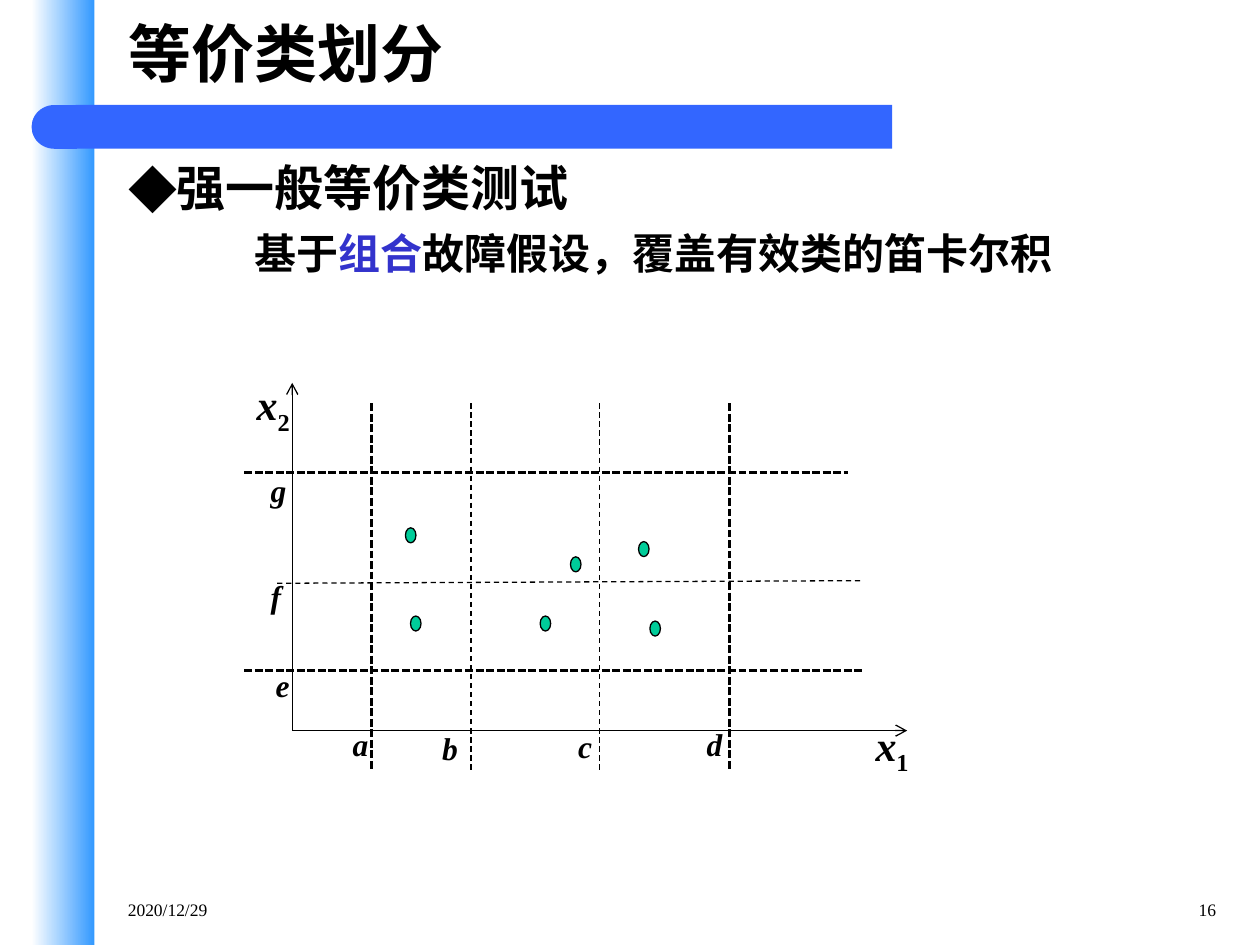
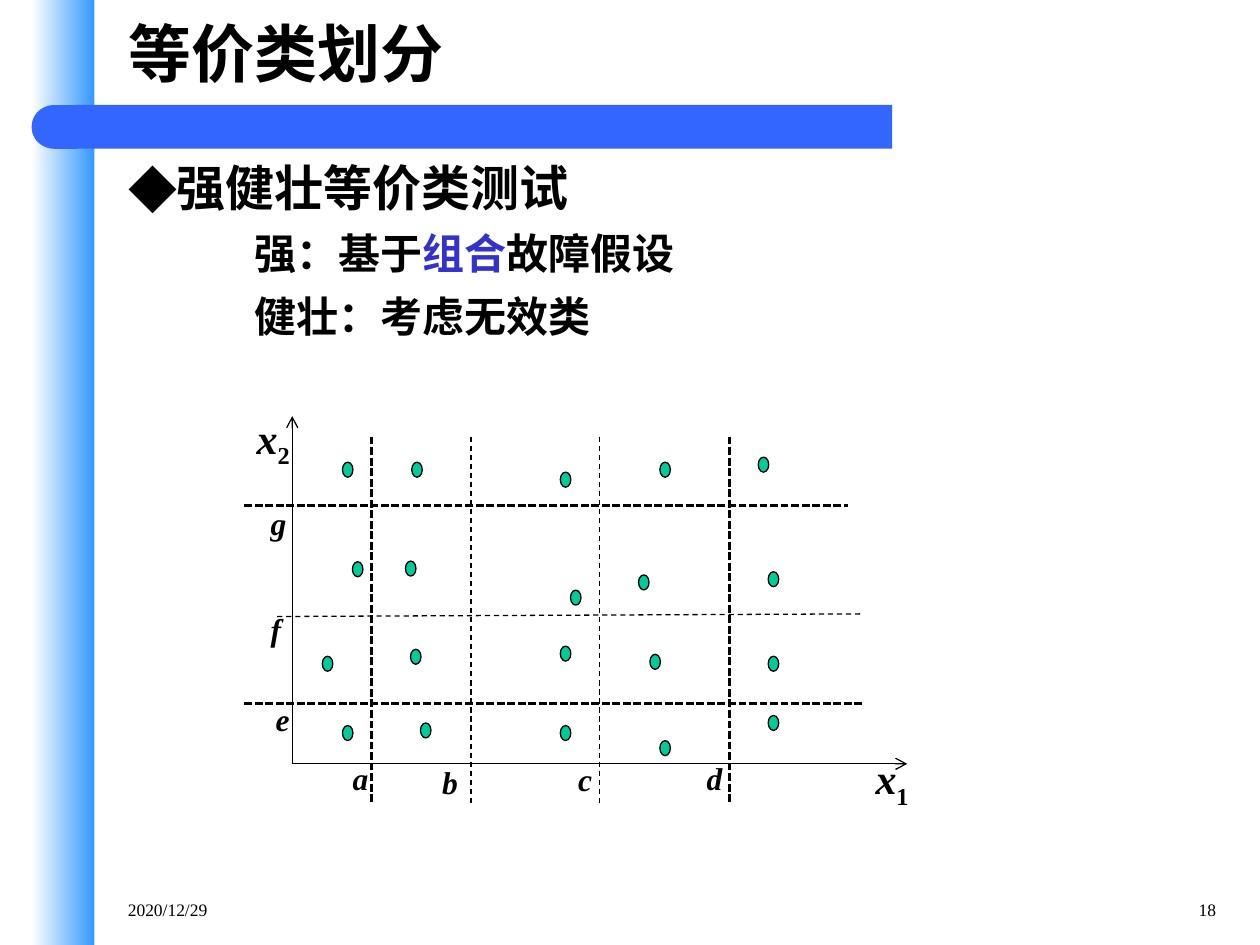
"""Build two slides on strong equivalence class testing."""
from lxml.etree import SubElement
from pptx import Presentation
from pptx.dml.color import RGBColor
from pptx.enum.dml import MSO_LINE
from pptx.enum.shapes import MSO_CONNECTOR, MSO_SHAPE
from pptx.enum.text import MSO_ANCHOR, MSO_AUTO_SIZE, PP_ALIGN
from pptx.oxml.ns import qn
from pptx.util import Pt

COLORS = {"text": "000000", "accent": "3333CC", "band": "3366FF",
          "fade_start": "FFFFFF", "fade_end": "3399FF", "dot": "00CC99"}
LATIN, CHINESE = "Times New Roman", "Noto Sans CJK SC"
TITLE, DATE = "等价类划分", "2020/12/29"

SHARED_DOTS = [(162, 95), (207.4, 58.3), (70.6, 61.2), (200.9, 103.7), (67.7, 111.6)]
SLIDES = [
    {"number": "16", "heading": "强一般等价类测试", "axis_y": 417.5,
     "details": [("基于", "组合", "故障假设，覆盖有效类的笛卡尔积")],
     "dots": [(144.7, 61.2)]},
    {"number": "18", "heading": "强健壮等价类测试", "axis_y": 436.5,
     "details": [("强：基于", "组合", "故障假设"), ("健壮：考虑无效类",)],
     "dots": [(156.2, 63), (275, 105.5), (275, 57.2), (213.1, 168.1), (156.2, 162.4),
              (213.1, 9), (156.2, 17.6), (71.3, 168.1), (37.4, 111.2), (275, 23.4),
              (269.3, 171), (31.7, 168.1), (20.2, 57.2), (31.7, 17.6), (76.3, 19.1)]},
]

ORIGIN_X = 167
AXES = [(351.4, 0), (0, 198.7)]
OUTER, INNER = (1.5, MSO_LINE.SQUARE_DOT), (0.75, MSO_LINE.DASH)
VERTICALS = [(45.4, OUTER), (102.2, INNER), (175.7, INNER), (249.8, OUTER)]
VERTICAL_SPAN = (187, -22.3)
HORIZONTALS = [((-27.4, 147.6), (317.5, 147.6), OUTER),
               ((-8.6, 84.2), (326.2, 85.7), INNER),
               ((-27.4, 34.5), (326.2, 34.5), OUTER)]
BOUNDARY_LABELS = [("a", 27.4, 6.5), ("b", 78.5, 4.3), ("c", 156.2, 5.8), ("d", 229.7, 6.5),
                   ("e", -16.6, 40.3), ("f", -19.4, 91.4), ("g", -19.4, 151.9)]
AXIS_LABELS = [("1", 326.2, 10, 51), ("2", -27.4, 204.5, 39)]
DOT_WIDTH, DOT_HEIGHT = 6, 8.6


def color(name):
    return RGBColor.from_string(COLORS[name])


def style(paragraph, size, bold=False, italic=False, latin=LATIN):
    font = paragraph.font
    font.size, font.bold, font.italic, font.name = Pt(size), bold, italic, latin
    font.color.rgb = color("text")
    SubElement(paragraph._p.pPr.find(qn("a:defRPr")), qn("a:ea"), typeface=CHINESE)


def place(shape, left, top, width, height):
    shape.left, shape.top, shape.width, shape.height = map(Pt, (left, top, width, height))


def add_text(shapes, text, box, size, bold=False, italic=False):
    frame = shapes.add_textbox(*map(Pt, box)).text_frame
    frame.word_wrap = True
    paragraph = frame.paragraphs[0]
    paragraph.text = text
    style(paragraph, size, bold, italic)
    return paragraph


def add_solid(shapes, kind, box, fill):
    shape = shapes.add_shape(kind, *map(Pt, box))
    shape.shadow.inherit = False
    shape.fill.solid()
    shape.fill.fore_color.rgb = color(fill)
    shape.line.fill.background()
    return shape


def add_frame(slide, number):
    shapes = slide.shapes
    side = add_solid(shapes, MSO_SHAPE.RECTANGLE, (18, 0, 36, 540), "fade_end")
    side.fill.gradient()
    side.fill.gradient_angle = 0
    for stop, position, name in zip(side.fill.gradient_stops, (0, 1), ("fade_start", "fade_end")):
        stop.position = position
        stop.color.rgb = color(name)
    add_solid(shapes, MSO_SHAPE.RECTANGLE, (43.2, 60, 466.6, 25), "band")
    add_solid(shapes, MSO_SHAPE.FLOWCHART_DELAY, (18, 60, 26, 25), "band").rotation = 180
    add_text(shapes, DATE, (66, 510, 150, 18), 10)
    add_text(shapes, number, (648, 510, 54, 18), 10).alignment = PP_ALIGN.RIGHT


def set_bullet(paragraph, margin, indent, bullet=None):
    properties = paragraph._p.get_or_add_pPr()
    properties.set("marL", str(Pt(margin)))
    properties.set("indent", str(Pt(indent)))
    if bullet:
        SubElement(properties, qn("a:buFont"), typeface=CHINESE)
        SubElement(properties, qn("a:buChar"), char=bullet)
    else:
        SubElement(properties, qn("a:buNone"))


def fill_placeholders(slide, heading, details):
    title, body = slide.shapes.title, slide.placeholders[1]
    place(title, 66, 0, 624, 60)
    title.text_frame.text = TITLE
    title.text_frame.vertical_anchor = MSO_ANCHOR.MIDDLE
    title_paragraph = title.text_frame.paragraphs[0]
    title_paragraph.alignment = PP_ALIGN.LEFT
    style(title_paragraph, 36, bold=True)

    place(body, 66, 90, 642, 158)
    frame = body.text_frame
    frame.auto_size = MSO_AUTO_SIZE.NONE
    paragraph = frame.paragraphs[0]
    paragraph.text = heading
    set_bullet(paragraph, 27, -27, "◆")
    paragraph.line_spacing, paragraph.space_before = 0.9, Pt(0)
    style(paragraph, 28, bold=True)
    for parts in details:
        paragraph = frame.add_paragraph()
        paragraph.level = 2
        set_bullet(paragraph, 72, 0)
        paragraph.line_spacing, paragraph.space_before = 0.9, Pt(9.6)
        style(paragraph, 24, bold=True, latin=CHINESE)
        for index, part in enumerate(parts):
            run = paragraph.add_run()
            run.text = part
            if index == 1:
                run.font.color.rgb = color("accent")


def add_diagram(slide, axis_y, dots):
    shapes = slide.shapes.add_group_shape().shapes

    def point(x, height):
        return Pt(ORIGIN_X + x), Pt(axis_y - height)

    def add_line(start, end, width=0.75, dash=None):
        line = shapes.add_connector(MSO_CONNECTOR.STRAIGHT, *point(*start), *point(*end))
        line.line.width = Pt(width)
        line.line.color.rgb = color("text")
        if dash:
            line.line.dash_style = dash
        else:
            SubElement(line.line._get_or_add_ln(), qn("a:tailEnd"), type="arrow")
        SubElement(line._element.spPr, qn("a:effectLst"))

    for end in AXES:
        add_line((0, 0), end)
    for start, end, look in HORIZONTALS:
        add_line(start, end, *look)
    top, bottom = VERTICAL_SPAN
    for x, look in VERTICALS:
        add_line((x, top), (x, bottom), *look)
    for text, x, height in BOUNDARY_LABELS:
        add_text(shapes, text, (ORIGIN_X + x, axis_y - height, 36.7, 29), 18, True, True)
    for subscript, x, height, width in AXIS_LABELS:
        box = (ORIGIN_X + x, axis_y - height, width, 36)
        run = add_text(shapes, "x", box, 24, True, True).add_run()
        run.text = subscript
        run.font.italic = False
        run._r.get_or_add_rPr().set("baseline", "-25000")
    for x, height in SHARED_DOTS + dots:
        box = (ORIGIN_X + x - DOT_WIDTH / 2, axis_y - height - DOT_HEIGHT / 2,
               DOT_WIDTH, DOT_HEIGHT)
        dot = add_solid(shapes, MSO_SHAPE.OVAL, box, "dot")
        dot.line.color.rgb = color("text")
        dot.line.width = Pt(0.75)


def main():
    presentation = Presentation()
    presentation.slide_width, presentation.slide_height = Pt(720), Pt(540)
    for content in SLIDES:
        slide = presentation.slides.add_slide(presentation.slide_layouts[1])
        add_frame(slide, content["number"])
        fill_placeholders(slide, content["heading"], content["details"])
        add_diagram(slide, content["axis_y"], content["dots"])
    presentation.save("out.pptx")


if __name__ == "__main__":
    main()
